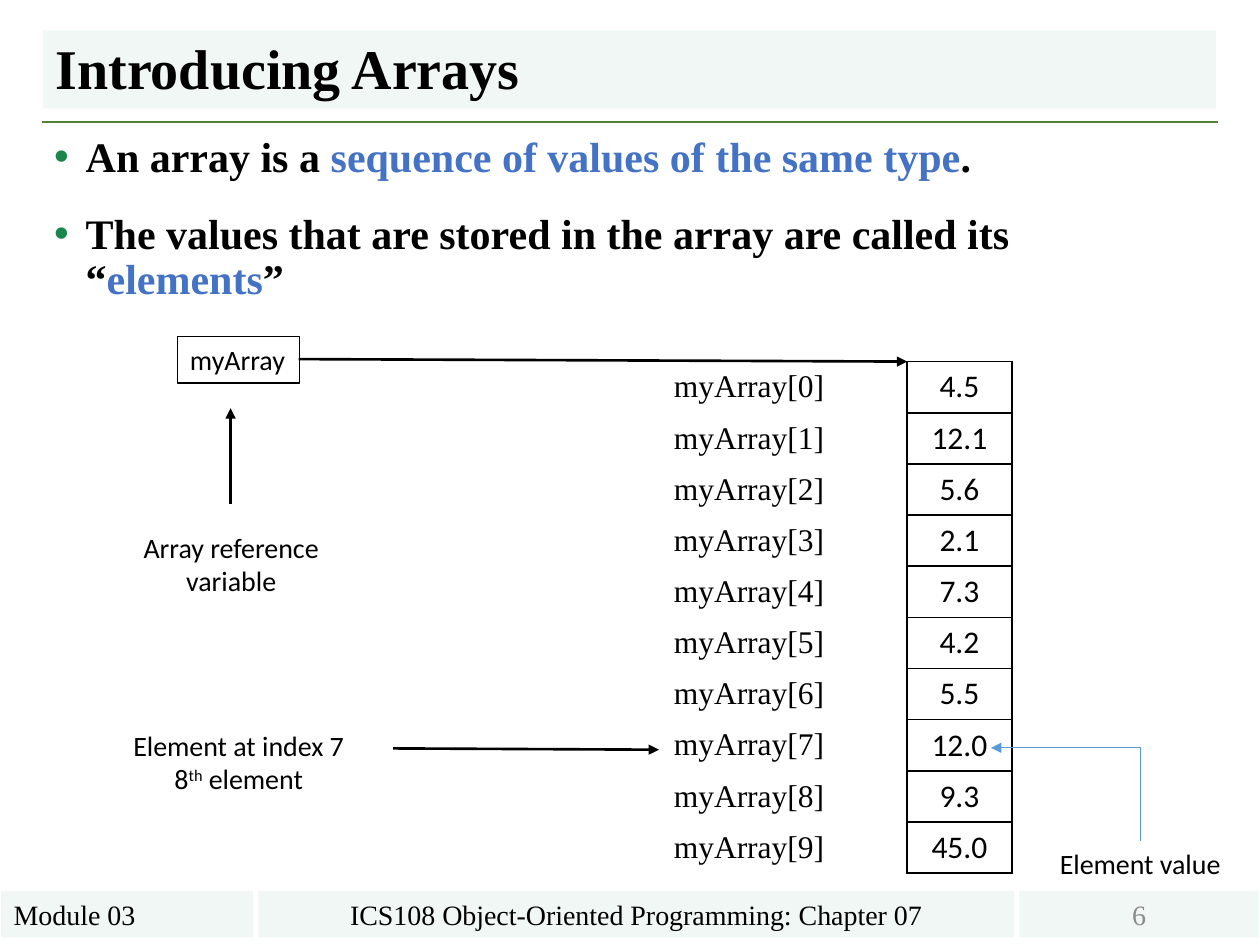
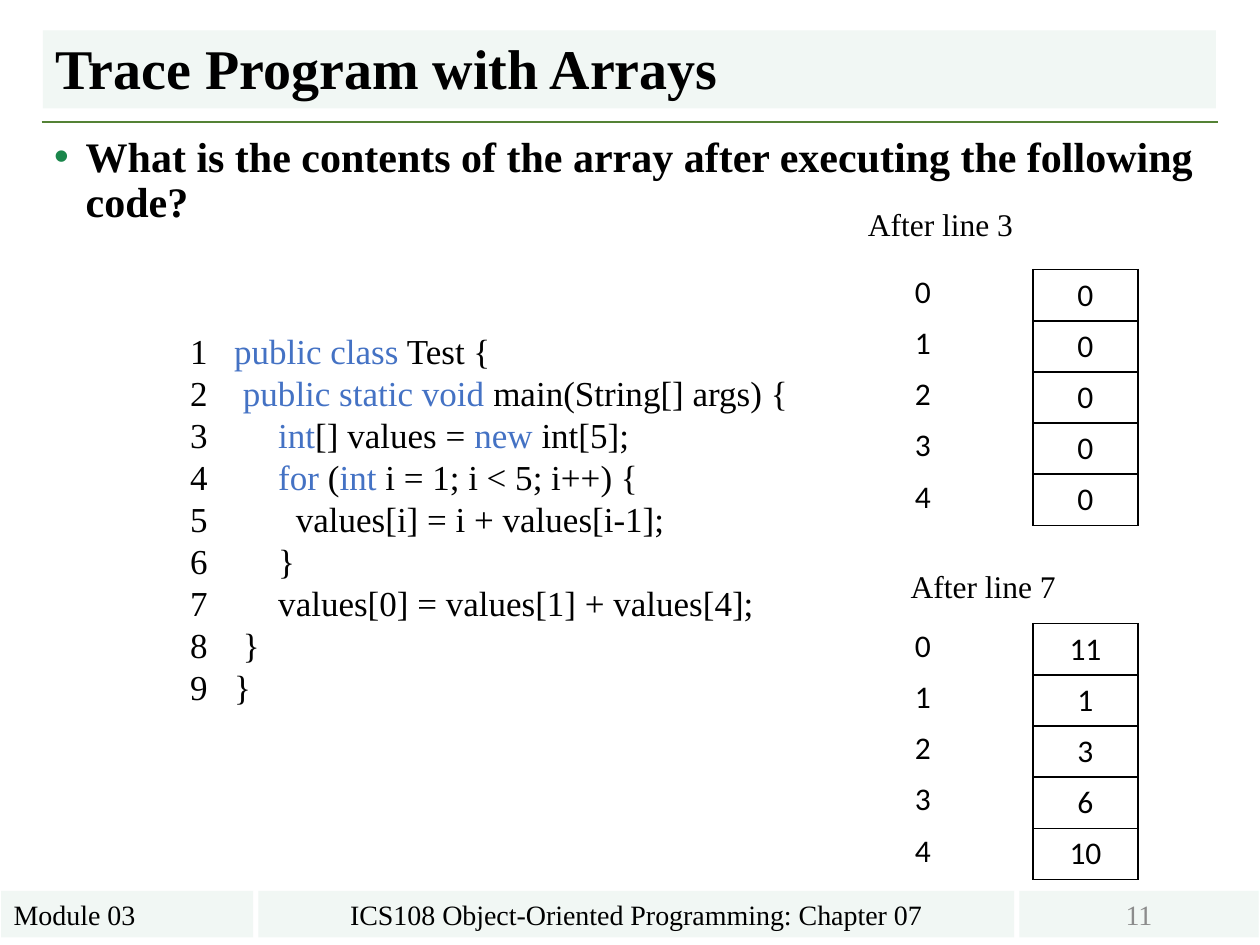
from lxml import etree
from pptx import Presentation
from pptx import util as u
from pptx.dml import color
from pptx.enum import shapes, text
from pptx.oxml import ns

SCALE = 9144
SERIF, SANS = "Times New Roman", "Calibri"
BLACK, BLUE, GRAY = "000000", "4472C4", "8C8C8C"
BAND, RULE, BULLET, CALLOUT = "F1F7F4", "548235", "1A864B", "5B9BD5"
PLAIN_TABLE = "{2D5ABB26-0587-4C30-8999-92F81FD0307C}"
CENTER = {"alignment": text.PP_ALIGN.CENTER}
LEFT = {"alignment": text.PP_ALIGN.LEFT}


def rgb(value):
    return color.RGBColor.from_string(value)


def px(*lengths):
    return [u.Emu(length * SCALE) for length in lengths]


def assign(target, values):
    for name, value in values.items():
        setattr(target, name, value)


def child(parent, tag, **attributes):
    return etree.SubElement(parent, ns.qn(tag), attributes)


class Slides:
    def __init__(self):
        self.deck = Presentation()
        self.deck.slide_width, self.deck.slide_height = px(1000, 750)
        self.page = None

    def start(self, title, number, points):
        self.page = self.deck.slides.add_slide(self.deck.slide_layouts[1])
        self.title(title)
        self.bullets(points)
        self.line((33, 97), (967, 97), RULE)
        self.band((1, 707, 200, 37), "Module 03", LEFT)
        self.band((205, 707, 600, 37), "ICS108 Object-Oriented Programming: Chapter 07")
        self.band((809, 707, 190, 37), str(number), ink=GRAY)

    def place(self, box, at):
        assign(box, dict(zip(("left", "top", "width", "height"), px(*at))))

    def fill_text(self, frame, lines, size, font=SERIF, layout=LEFT, ink=BLACK,
                  bold=False, accent=BLUE, anchor=text.MSO_ANCHOR.TOP, wrap=True):
        assign(frame, {"auto_size": text.MSO_AUTO_SIZE.NONE,
                       "word_wrap": wrap, "vertical_anchor": anchor})
        for row, line in enumerate(lines):
            para = frame.add_paragraph() if row else frame.paragraphs[0]
            assign(para, layout)
            for part, words in enumerate(line.split("|")):
                if not words:
                    continue
                span = para.add_run()
                span.text = words
                assign(span.font, {"size": u.Pt(size), "name": font, "bold": bold})
                marked = part % 2 == 1
                span.font.color.rgb = rgb(accent if marked and accent else ink)
                if marked and not accent:
                    span.font._element.set("baseline", "30000")

    def hang(self, para, indent, ink, tag, **marker):
        props = para._p.get_or_add_pPr()
        props.set("marL", str(indent * SCALE))
        props.set("indent", str(-indent * SCALE))
        child(child(props, "a:buClr"), "a:srgbClr", val=ink)
        child(props, tag, **marker)

    def title(self, words):
        box = self.page.shapes.title
        self.place(box, (34, 24, 931, 62))
        box.fill.solid()
        box.fill.fore_color.rgb = rgb(BAND)
        self.fill_text(box.text_frame, [words], 32, bold=True,
                       layout={**LEFT, "line_spacing": 0.9},
                       anchor=text.MSO_ANCHOR.BOTTOM)

    def bullets(self, points):
        box = self.page.placeholders[1]
        self.place(box, (33, 103, 934, 593))
        self.fill_text(box.text_frame, points, 24, bold=True,
                       layout={**LEFT, "line_spacing": 0.9, "space_before": u.Pt(18)})
        for para in box.text_frame.paragraphs:
            self.hang(para, 25, BULLET, "a:buChar", char="•")

    def rectangle(self, at):
        box = self.page.shapes.add_shape(shapes.MSO_SHAPE.RECTANGLE, *px(*at))
        box.shadow.inherit = False
        return box

    def band(self, at, words, layout=CENTER, ink=BLACK):
        box = self.rectangle(at)
        box.fill.solid()
        box.fill.fore_color.rgb = rgb(BAND)
        box.line.fill.background()
        self.fill_text(box.text_frame, [words], 16, layout=layout, ink=ink,
                       anchor=text.MSO_ANCHOR.MIDDLE)

    def variable(self, at, name):
        box = self.rectangle(at)
        box.fill.background()
        box.line.color.rgb = rgb(BLACK)
        box.line.width = u.Pt(0.75)
        self.fill_text(box.text_frame, [name], 16, SANS, wrap=False)

    def label(self, at, lines, size=16, **style):
        box = self.page.shapes.add_textbox(*px(*at))
        self.fill_text(box.text_frame, lines, size, **style)
        return box

    def code(self, at, lines):
        box = self.label(at, [line for indent, line in lines], 20,
                         layout={**LEFT, "line_spacing": 0.8, "space_before": u.Pt(4.8)})
        for para, (indent, line) in zip(box.text_frame.paragraphs, lines):
            self.hang(para, indent, BLACK, "a:buAutoNum", type="arabicPlain")

    def line(self, start, end, ink=BLACK, width=1.5, arrow=False, elbow=False):
        kind = shapes.MSO_CONNECTOR.ELBOW if elbow else shapes.MSO_CONNECTOR.STRAIGHT
        link = self.page.shapes.add_connector(kind, *px(*start, *end))
        link.line.color.rgb = rgb(ink)
        link.line.width = u.Pt(width)
        props = link.element.spPr
        if arrow:
            child(props.find(ns.qn("a:ln")), "a:tailEnd", type="triangle")
        if elbow:
            props.find(ns.qn("a:prstGeom")).set("prst", "bentConnector2")
            props.find(ns.qn("a:xfrm")).set("rot", "16200000")
        child(props, "a:effectLst")

    def column(self, at, values, font=SANS, border=False):
        table = self.page.shapes.add_table(len(values), 1, *px(*at)).table
        assign(table, {"first_row": False, "horz_banding": False})
        table._tbl.tblPr.find(ns.qn("a:tableStyleId")).text = PLAIN_TABLE
        for row, value in enumerate(values):
            cell = table.cell(row, 0)
            self.fill_text(cell.text_frame, [str(value)], 18, font, CENTER)
            cell.vertical_anchor = text.MSO_ANCHOR.MIDDLE
            if border:
                for side in "LRTB":
                    edge = child(cell._tc.get_or_add_tcPr(), f"a:ln{side}", w="12700")
                    child(child(edge, "a:solidFill"), "a:srgbClr", val=BLACK)
            cell.fill.background()


def introduce_arrays(slides):
    slides.start("Introducing Arrays", 6, [
        "An array is a |sequence of values of the same type|.",
        "The values that are stored in the array are called its “|elements|”"])
    values = ["4.5", "12.1", "5.6", "2.1", "7.3", "4.2", "5.5", "12.0", "9.3", "45.0"]
    names = [f"myArray[{index}]" for index in range(len(values))]
    slides.column((720, 287, 83, 406), values, border=True)
    slides.column((505, 287, 179, 406), names, SERIF)
    slides.variable((141, 267, 97, 37), "myArray")
    for at, lines in (((91, 416, 185, 64), ["Array reference variable"]),
                      ((78, 573, 223, 64), ["Element at index 7", "8|th| element"]),
                      ((817, 667, 176, 37), ["Element value"])):
        slides.label(at, lines, font=SANS, layout=CENTER, accent=None)
    for start, end in (((237, 285), (720, 287)), ((183, 400), (183, 324)),
                       ((312, 594), (523, 595))):
        slides.line(start, end, arrow=True)
    slides.line((809, 690), (883, 571), CALLOUT, 0.5, arrow=True, elbow=True)


def trace_program(slides):
    slides.start("Trace Program with Arrays", 11, [
        "What is the contents of the array after executing the following code?"])
    slides.code((141, 263, 521, 308), [
        (35, "|public class| Test {"),
        (42, "|public static void |main(String[] args) {"),
        (70, "|int|[] values = |new |int[5];"),
        (70, "|for| (|int |i = 1; i < 5; i++) {"),
        (84, "values[i] = i + values[i-1];"),
        (70, "}"),
        (70, "values[0] = values[1] + values[4];"),
        (42, "}"),
        (35, "}")])
    for line, left, top, table_top, values in (
            (3, 679, 158, 214, [0] * 5),
            (7, 713, 445, 495, [11, 1, 3, 6, 10])):
        slides.label((left, top, 137, 40), [f"After line {line}"], 18, wrap=False)
        slides.column((820, table_top, 83, 203), values, border=True)
        slides.column((691, table_top - 2, 83, 203), range(len(values)))


def main():
    slides = Slides()
    introduce_arrays(slides)
    trace_program(slides)
    slides.deck.save("out.pptx")


if __name__ == "__main__":
    main()
